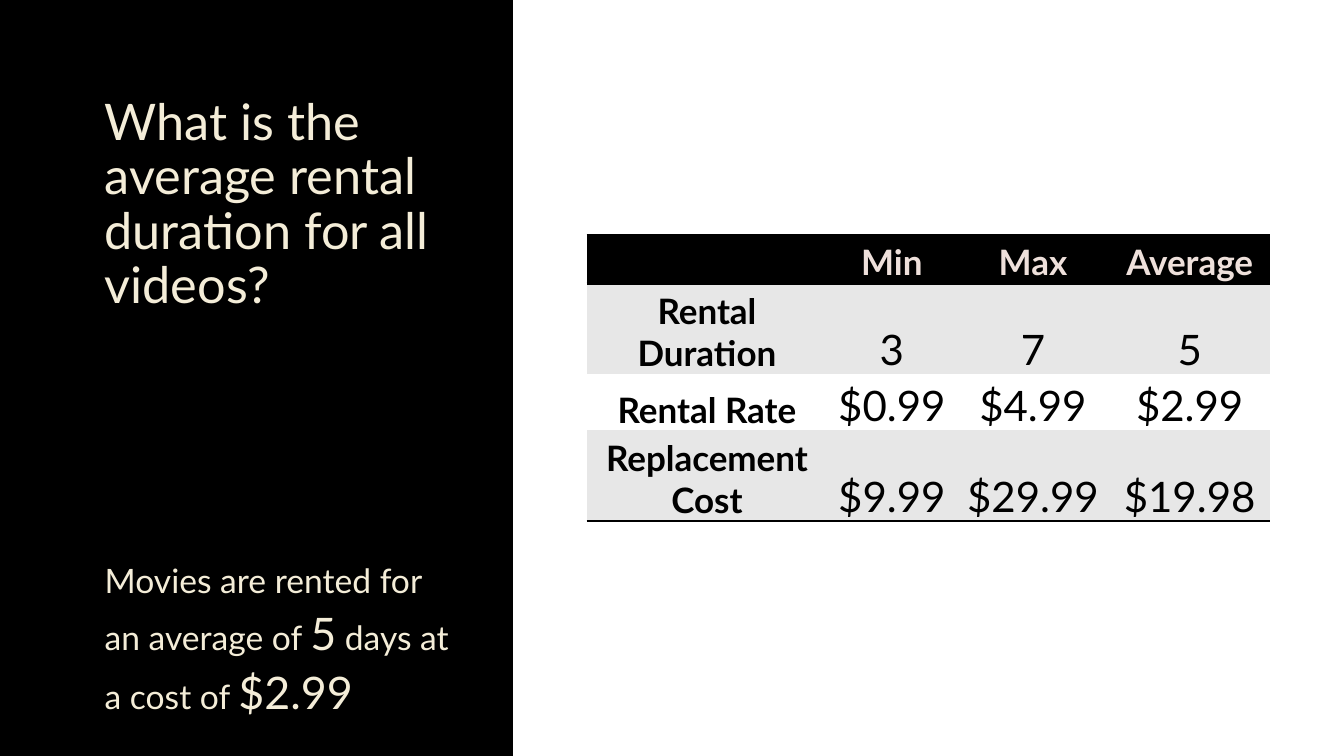
import pptx
import pptx.dml.color
import pptx.enum.shapes
import pptx.enum.text
import pptx.oxml
import pptx.oxml.ns
import pptx.util

Pt = pptx.util.Pt
MID = pptx.enum.text.PP_ALIGN.CENTER
LOW = pptx.enum.text.MSO_ANCHOR.BOTTOM
COLORS = {"black": "000000", "white": "FFFFFF", "cream": "F4EDD8",
          "rose": "EEE0DB", "band": "E7E7E7", "edge": "404040"}
PLAIN = "{2D5ABB26-0587-4C30-8999-92F81FD0307C}"


def paint(fill, name):
    fill.solid()
    fill.fore_color.rgb = pptx.dml.color.RGBColor.from_string(COLORS[name])


def line(tag, width, name, alpha=100):
    """Return a line element for a text outline or a cell border."""
    return pptx.oxml.parse_xml(
        f'<a:{tag} {pptx.oxml.ns.nsdecls("a")} w="{Pt(width)}"><a:solidFill>'
        f'<a:srgbClr val="{COLORS[name]}"><a:alpha val="{alpha * 1000}"/>'
        f'</a:srgbClr></a:solidFill><a:prstDash val="solid"/></a:{tag}>')


def write(para, text, size=24, color="black", bold=False, edge=False):
    run = para.add_run()
    run.text = text
    run.font.name = "Lato"
    run.font.size = Pt(size)
    run.font.bold = bold
    paint(run.font.fill, color)
    if edge:
        run._r.get_or_add_rPr().insert(0, line("ln", 0.75, "edge", 10))


class Page:
    def __init__(self, deck):
        self.slide = deck.slides.add_slide(deck.slide_layouts[6])
        self.shapes = self.slide.shapes
        paint(self.slide.background.fill, "black")

    def text(self, box, parts, space, after=0):
        """Add a text box; parts are pairs of text and size."""
        frame = self.shapes.add_textbox(*map(Pt, box)).text_frame
        frame.word_wrap = True
        para = frame.paragraphs[0]
        para.line_spacing = space
        para.space_after = Pt(after)
        for text, size in parts:
            write(para, text, size=size, color="cream", edge=True)

    def panel(self, box, color):
        kind = pptx.enum.shapes.MSO_SHAPE.RECTANGLE
        shape = self.shapes.add_shape(kind, *map(Pt, box))
        shape.shadow.inherit = False
        paint(shape.fill, color)
        shape.line.fill.background()

    def cell(self, cell, text, fill, edges, **style):
        cell.vertical_anchor = LOW
        cell.margin_left = cell.margin_right = cell.margin_top = Pt(0.75)
        cell.margin_bottom = 0
        paint(cell.fill, fill)
        for tag in edges:
            cell._tc.get_or_add_tcPr().insert(0, line(tag, 2, "black"))
        para = cell.text_frame.paragraphs[0]
        para.alignment = MID
        if text:
            write(para, text, **style)

    def table(self, left, top, wide, high, rows):
        box = map(Pt, (left, top, sum(wide), sum(high)))
        frame = self.shapes.add_table(len(high), len(wide), *box)
        grid = frame.table
        grid.horz_banding = False
        for node in frame.element.iter(pptx.oxml.ns.qn("a:tableStyleId")):
            node.text = PLAIN
        for col, width in zip(grid.columns, wide):
            col.width = Pt(width)
        for row, height in zip(grid.rows, high):
            row.height = Pt(height)
        last = len(rows) - 1
        for r, row in enumerate(rows):
            fill = "black" if r == 0 else "band" if r % 2 else "white"
            edges = {0: ("lnB", "lnT"), last: ("lnB",)}.get(r, ())
            for c, text in enumerate(row):
                head = r == 0 or c == 0
                self.cell(grid.cell(r, c), text, fill, edges,
                          size=25 if head else 30, bold=head,
                          color="black" if r else "rose")


def main():
    deck = pptx.Presentation()
    deck.slide_width, deck.slide_height = Pt(960), Pt(540)
    page = Page(deck)
    page.text((67.7, 65.5, 266.4, 275.8),
              [("What is the average rental duration for all videos?", 36)],
              space=0.9)
    page.text((67.7, 393.8, 266.4, 93.6),
              [("Movies are rented for an average of ", 24), ("5", 32),
               (" days at a cost of ", 24), ("$2.99", 32)],
              space=1.1, after=6)
    page.panel((366.5, 0, 593.5, 540), "white")
    page.table(419, 167.8, (172, 92.2, 109.4, 114.5),
               (34.6, 64.8, 40.3, 64.8),
               [("", "Min", "Max", "Average"),
                ("Rental Duration", "3", "7", "5"),
                ("Rental Rate", "$0.99", "$4.99", "$2.99"),
                ("Replacement Cost", "$9.99", "$29.99", "$19.98")])
    deck.save("out.pptx")


if __name__ == "__main__":
    main()
